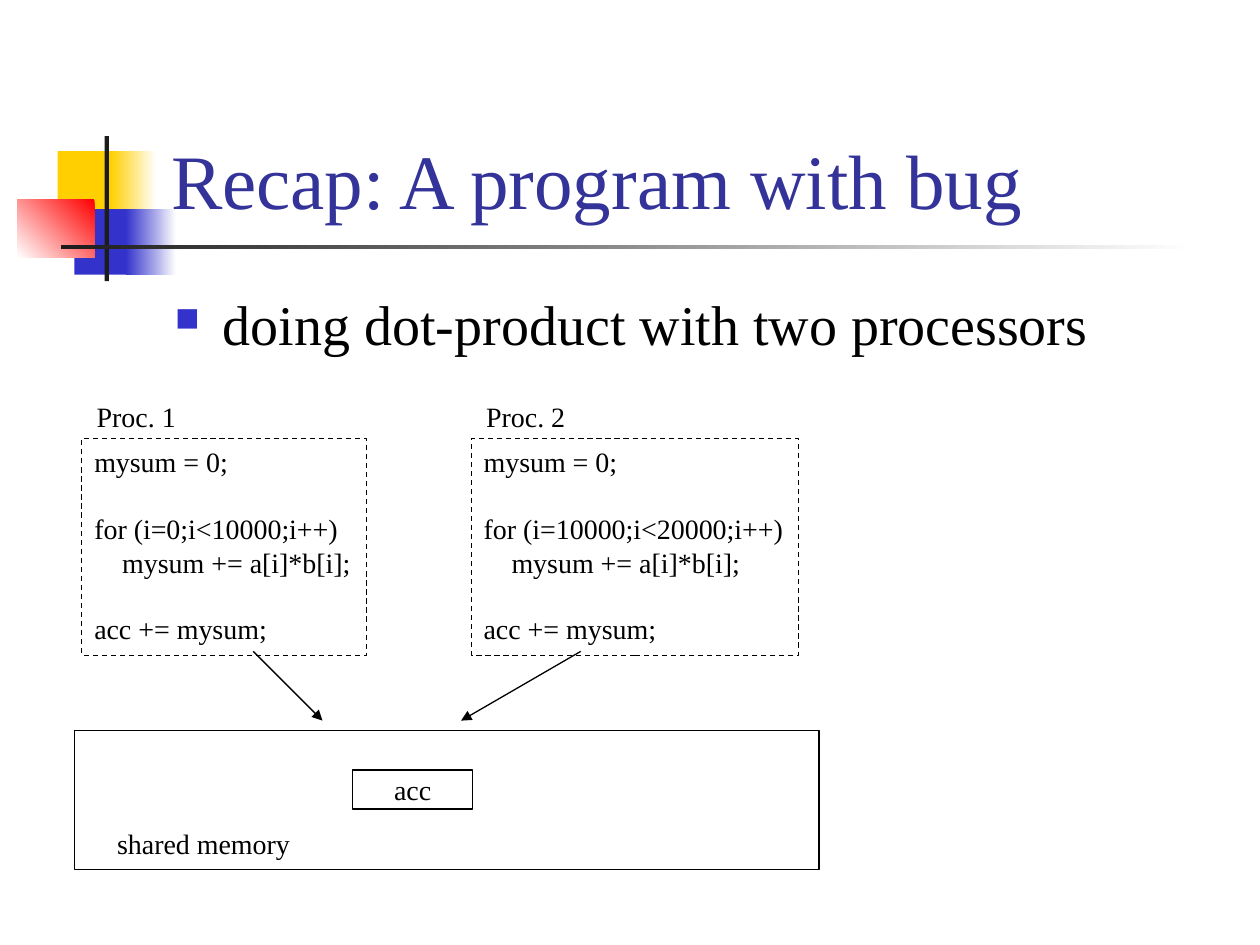
import pptx
import pptx.dml.color
import pptx.enum.dml
import pptx.enum.shapes
import pptx.enum.text
import pptx.oxml.ns
import pptx.util
import lxml.etree

Pt = pptx.util.Pt
ALIGN = pptx.enum.text.PP_ALIGN
ANCHOR = pptx.enum.text.MSO_ANCHOR
FONT = "Times New Roman"
BLACK, WHITE, YELLOW, BLUE = "000000", "FFFFFF", "FFCF01", "3333CC"
RED, CHARCOAL, TITLE_BLUE = "FF0000", "1C1C1C", "333399"


def color(value):
    return pptx.dml.color.RGBColor.from_string(value)


def add_element(parent, tag, **attributes):
    return lxml.etree.SubElement(parent, pptx.oxml.ns.qn(tag), attributes)


def add_rectangle(page, bounds):
    kind = pptx.enum.shapes.MSO_SHAPE.RECTANGLE
    shape = page.shapes.add_shape(kind, *map(Pt, bounds))
    shape.shadow.inherit = False
    return shape


def add_block(page, bounds, fill):
    block = add_rectangle(page, bounds)
    block.line.fill.background()
    block.fill.solid()
    block.fill.fore_color.rgb = color(fill)


def add_fade(page, bounds, start, angle=0):
    fade = add_rectangle(page, bounds)
    fade.line.fill.background()
    fade.fill.gradient()
    fade.fill.gradient_angle = angle
    for stop, value in zip(fade.fill.gradient_stops, (start, WHITE)):
        stop.color.rgb = color(value)


def add_frame(page, bounds, dashed=False):
    frame = add_rectangle(page, bounds)
    frame.fill.background()
    frame.line.color.rgb = color(BLACK)
    frame.line.width = Pt(0.75)
    if dashed:
        frame.line.dash_style = pptx.enum.dml.MSO_LINE.DASH
    return frame


def write_text(box, text, size=16, value=BLACK, anchor=ANCHOR.TOP,
               align=ALIGN.LEFT, wrap=False):
    frame = box.text_frame
    frame.text = text
    frame.word_wrap = wrap
    frame.vertical_anchor = anchor
    for para in frame.paragraphs:
        para.alignment = align
        for span in para.runs:
            span.font.name = FONT
            span.font.size = Pt(size)
            span.font.color.rgb = color(value)


def add_text(page, bounds, text, **style):
    box = page.shapes.add_textbox(*map(Pt, bounds))
    write_text(box, text, **style)
    return box


def add_bullet(para):
    properties = para._p.get_or_add_pPr()
    properties.set("marL", str(Pt(27.4)))
    properties.set("indent", str(-Pt(27.4)))
    bullet_color = add_element(properties, "a:buClr")
    add_element(bullet_color, "a:srgbClr", val=BLUE)
    add_element(properties, "a:buSzPct", val="60000")
    add_element(properties, "a:buChar", char="■")


def add_arrow(page, start, end):
    kind = pptx.enum.shapes.MSO_CONNECTOR.STRAIGHT
    arrow = page.shapes.add_connector(kind, *map(Pt, start + end))
    arrow.line.color.rgb = color(BLACK)
    arrow.line.width = Pt(0.75)
    add_element(arrow.line._get_or_add_ln(), "a:tailEnd", type="triangle")
    add_element(arrow._element.spPr, "a:effectLst")


def add_decoration(page):
    add_block(page, (33, 86.4, 34.6, 37.4), YELLOW)
    add_fade(page, (63.4, 86.4, 25.9, 37.4), YELLOW)
    add_block(page, (42.5, 119.5, 33.1, 37.4), BLUE)
    add_fade(page, (72, 119.5, 28.8, 37.4), BLUE)
    add_fade(page, (10, 113.8, 44, 33.2), RED, angle=225)
    add_block(page, (59.8, 77.8, 2.5, 82.8), CHARCOAL)
    add_fade(page, (34.6, 140.1, 648, 2.5), CHARCOAL)


def add_processor(page, left, width, name, loop):
    code = ("mysum = 0;", loop, "    mysum += a[i]*b[i];", "acc += mysum;")
    box = add_frame(page, (left, 250.6, width, 123.8), dashed=True)
    write_text(box, "\n".join(code))
    for index in (1, 3):
        box.text_frame.paragraphs[index].space_before = Pt(19)
    add_text(page, (left + 1.4, 224.6, 59.8, 26.6), name)


def add_shared_memory(page):
    add_frame(page, (42.5, 417.6, 425.5, 79.2))
    add_text(page, (59.8, 468.7, 113.8, 26.6), "shared memory")
    cell = add_frame(page, (201.6, 440, 68.4, 22.3))
    write_text(cell, "acc", anchor=ANCHOR.MIDDLE, align=ALIGN.CENTER)


def main():
    deck = pptx.Presentation()
    deck.slide_width, deck.slide_height = Pt(720), Pt(540)
    page = deck.slides.add_slide(deck.slide_layouts[6])
    add_decoration(page)
    add_text(page, (90.7, 16.6, 613.4, 115.2), "Recap: A program with bug",
             size=44, value=TITLE_BLUE, anchor=ANCHOR.BOTTOM, wrap=True)
    body = add_text(page, (92.9, 162, 612, 49),
                    "doing dot-product with two processors", size=32, wrap=True)
    add_bullet(body.text_frame.paragraphs[0])
    add_processor(page, 46.8, 162.7, "Proc. 1", "for (i=0;i<10000;i++)")
    add_processor(page, 269.3, 187.2, "Proc. 2", "for (i=10000;i<20000;i++)")
    add_shared_memory(page)
    add_arrow(page, (144.7, 372.2), (184.3, 411.8))
    add_arrow(page, (331.9, 372.2), (263.5, 411.8))
    deck.save("out.pptx")


if __name__ == "__main__":
    main()
